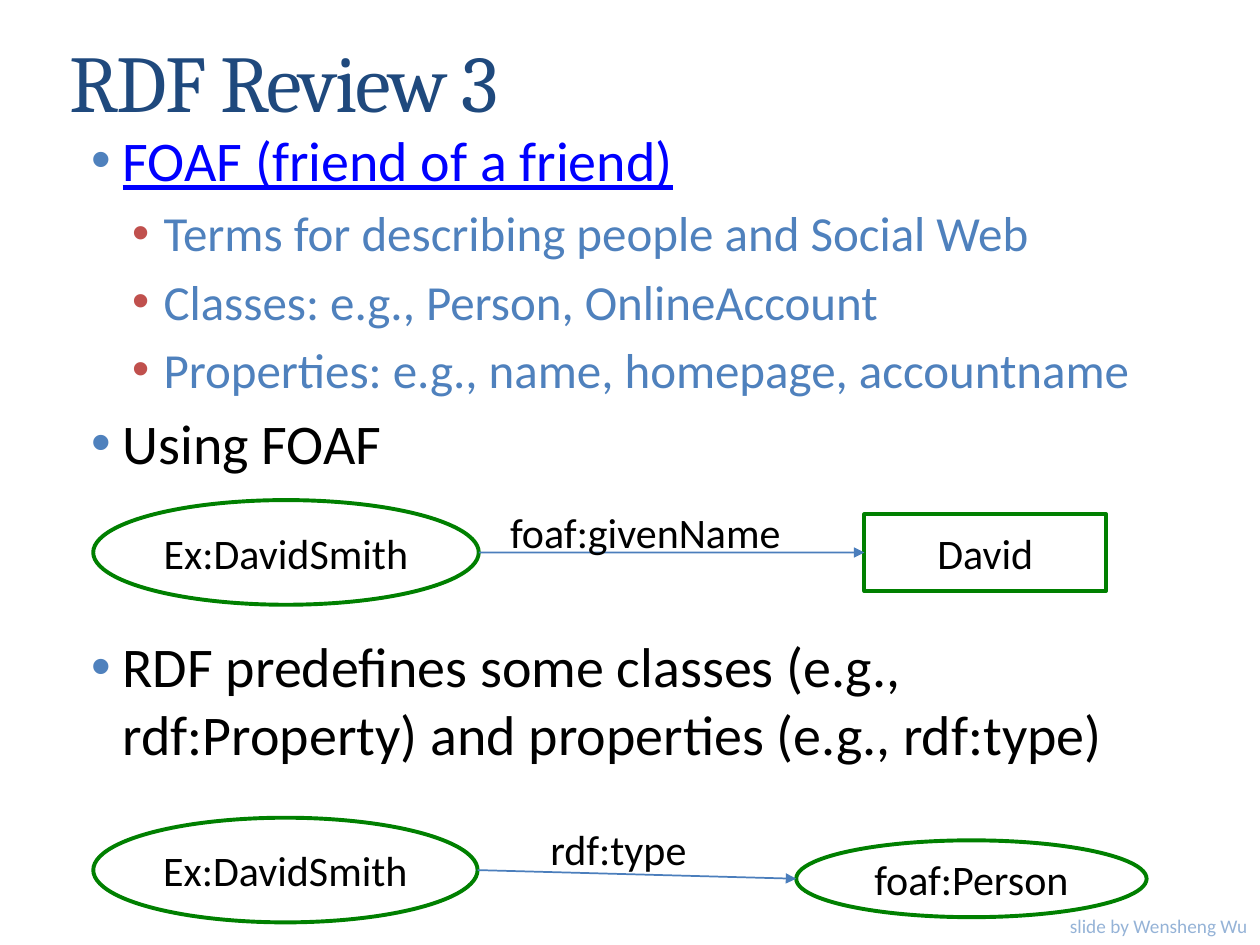
from lxml.etree import SubElement
from pptx import Presentation
from pptx.dml.color import RGBColor
from pptx.enum.shapes import MSO_CONNECTOR, MSO_SHAPE
from pptx.enum.text import MSO_ANCHOR, PP_ALIGN
from pptx.oxml import parse_xml
from pptx.oxml.ns import qn
from pptx.util import Pt

NAVY = RGBColor(0x1F, 0x49, 0x7D)
BLUE = RGBColor(0x4F, 0x81, 0xBD)
RED = RGBColor(0xC0, 0x50, 0x4D)
LINK_BLUE = RGBColor(0x00, 0x00, 0xFF)
ARROW_BLUE = RGBColor(0x4B, 0x7E, 0xBC)
PALE_BLUE = RGBColor(0x95, 0xB3, 0xD7)
GREEN = RGBColor(0x00, 0x80, 0x00)
BLACK = RGBColor(0x00, 0x00, 0x00)

TITLE_SHADOW = (
    '<a:effectLst xmlns:a="http://schemas.openxmlformats.org/drawingml/2006/main">'
    '<a:outerShdw blurRad="50800" dist="38100" dir="2700000" algn="tl">'
    '<a:srgbClr val="000000"><a:alpha val="40000"/></a:srgbClr>'
    '</a:outerShdw></a:effectLst>'
)


def style(paragraph, size, color, font="Calibri"):
    for span in paragraph.runs:
        span.font.size = Pt(size)
        span.font.name = font
        span.font.color.rgb = color


def add_text(left, top, width, height, text, size, color, font="Calibri", wrap=True):
    box = page.shapes.add_textbox(Pt(left), Pt(top), Pt(width), Pt(height))
    box.text_frame.word_wrap = wrap
    box.text_frame.text = text
    style(box.text_frame.paragraphs[0], size, color, font)
    return box


deck = Presentation()
deck.slide_width, deck.slide_height = Pt(720), Pt(540)
page = deck.slides.add_slide(deck.slide_layouts[6])

# Title
title = add_text(32.4, 6.5, 648.7, 79.2, "RDF Review 3", 46, NAVY, "Cambria")
title.text_frame.vertical_anchor = MSO_ANCHOR.MIDDLE
title_properties = title.text_frame.paragraphs[0].runs[0].font._element
title_properties.set("spc", "-100")
title_properties.find(qn("a:solidFill")).addnext(parse_xml(TITLE_SHADOW))

# Bullets: text, level, colour, space before
bullets = [
    ("FOAF (friend of a friend)", 0, LINK_BLUE, 0),
    ("Terms for describing people and Social Web", 1, BLUE, 5.5),
    ("Classes: e.g., Person, OnlineAccount", 1, BLUE, 5.5),
    ("Properties: e.g., name, homepage, accountname", 1, BLUE, 5.5),
    ("Using FOAF", 0, BLACK, 5.5),
    ("RDF predefines some classes (e.g., rdf:Property) and properties (e.g., rdf:type)",
     0, BLACK, 89.5),
]
level_styles = [(32, 27, BLUE), (28, 50.4, RED)]  # text size, indent, bullet colour
body = page.shapes.add_textbox(Pt(36), Pt(68.4), Pt(648), Pt(435.6))
body.text_frame.word_wrap = True
body.text_frame.text = "\n".join(bullet[0] for bullet in bullets)
for paragraph, (_, level, color, gap) in zip(body.text_frame.paragraphs, bullets):
    size, indent, bullet_color = level_styles[level]
    style(paragraph, size, color)
    paragraph.level = level
    paragraph.space_before = Pt(gap)
    properties = paragraph._p.get_or_add_pPr()
    properties.set("marL", str(Pt(indent)))
    properties.set("indent", str(Pt(-18)))
    bullet_fill = SubElement(properties, qn("a:buClr"))
    SubElement(bullet_fill, qn("a:srgbClr"), val=str(bullet_color))
    SubElement(properties, qn("a:buFont"), typeface="Arial")
    SubElement(properties, qn("a:buChar"), char="•")
body.text_frame.paragraphs[0].runs[0].font.underline = True

# RDF triples: subject and object nodes (text, shape, box), predicate (text, box)
triples = [
    (("Ex:DavidSmith", MSO_SHAPE.OVAL, (53.3, 285.8, 220.3, 59.8)),
     ("David", MSO_SHAPE.RECTANGLE, (493.9, 293.8, 138.2, 43.9)),
     ("foaf:givenName", (284.4, 285.8, 190.8, 36))),
    (("Ex:DavidSmith", MSO_SHAPE.OVAL, (53.3, 467.3, 219.6, 59.8)),
     ("foaf:Person", MSO_SHAPE.OVAL, (455, 480.2, 200.2, 43.9)),
     ("rdf:type", (307.4, 467.3, 98.6, 36))),
]
for subject, target, (predicate, label_area) in triples:
    nodes = []
    for text, kind, area in (subject, target):
        node = page.shapes.add_shape(kind, *map(Pt, area))
        node.shadow.inherit = False
        node.fill.background()
        node.line.color.rgb = GREEN
        node.line.width = Pt(2.25)
        node.text_frame.text = text
        node.text_frame.vertical_anchor = MSO_ANCHOR.MIDDLE
        node.text_frame.paragraphs[0].alignment = PP_ALIGN.CENTER
        style(node.text_frame.paragraphs[0], 24, BLACK)
        nodes.append(node)
    start, end = nodes
    arrow = page.shapes.add_connector(
        MSO_CONNECTOR.STRAIGHT,
        start.left + start.width, start.top + start.height // 2,
        end.left, end.top + end.height // 2)
    arrow.line.color.rgb = ARROW_BLUE
    arrow.line.width = Pt(1)
    SubElement(arrow.line._get_or_add_ln(), qn("a:tailEnd"), type="triangle")
    SubElement(arrow._element.spPr, qn("a:effectLst"))
    add_text(*label_area, predicate, 24, BLACK)

# Credit line
credit = add_text(602.6, 519.1, 117.4, 20.9, "slide by Wensheng Wu", 11, PALE_BLUE, wrap=False)
credit.text_frame.paragraphs[0].alignment = PP_ALIGN.RIGHT

deck.save("out.pptx")
